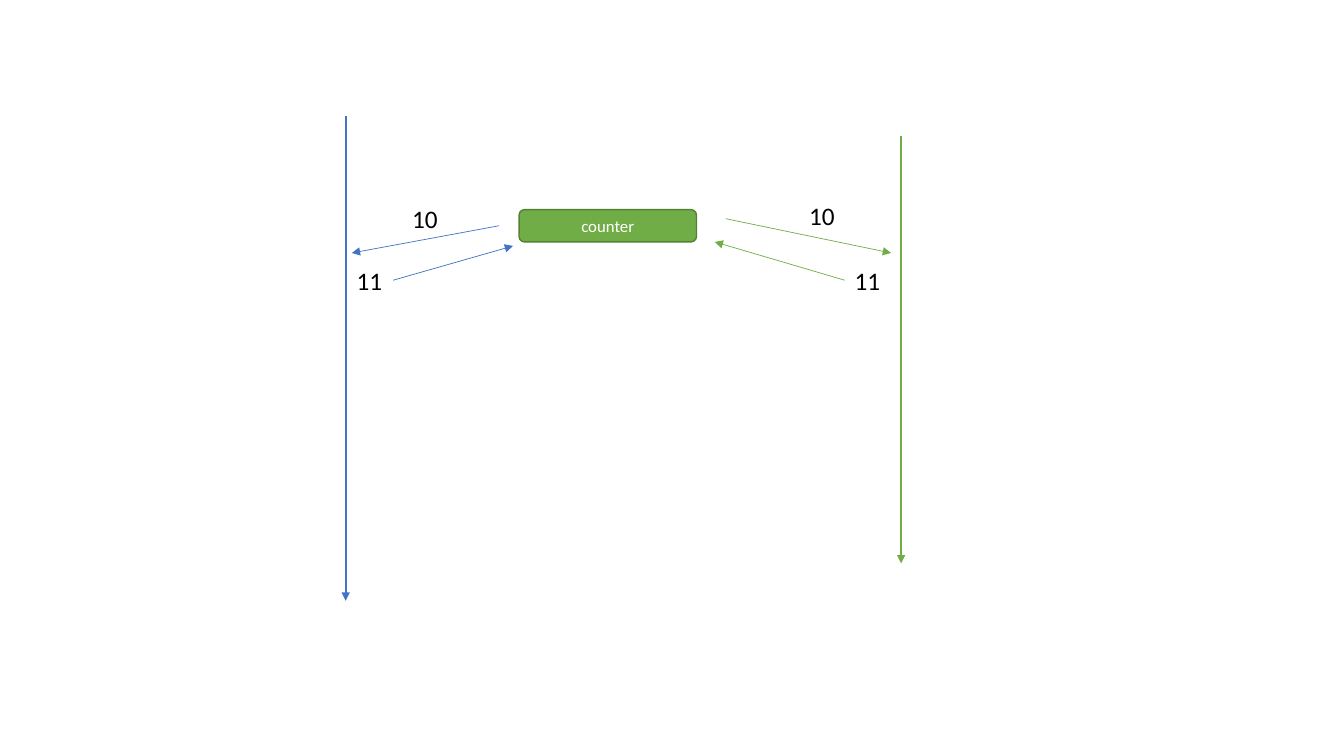
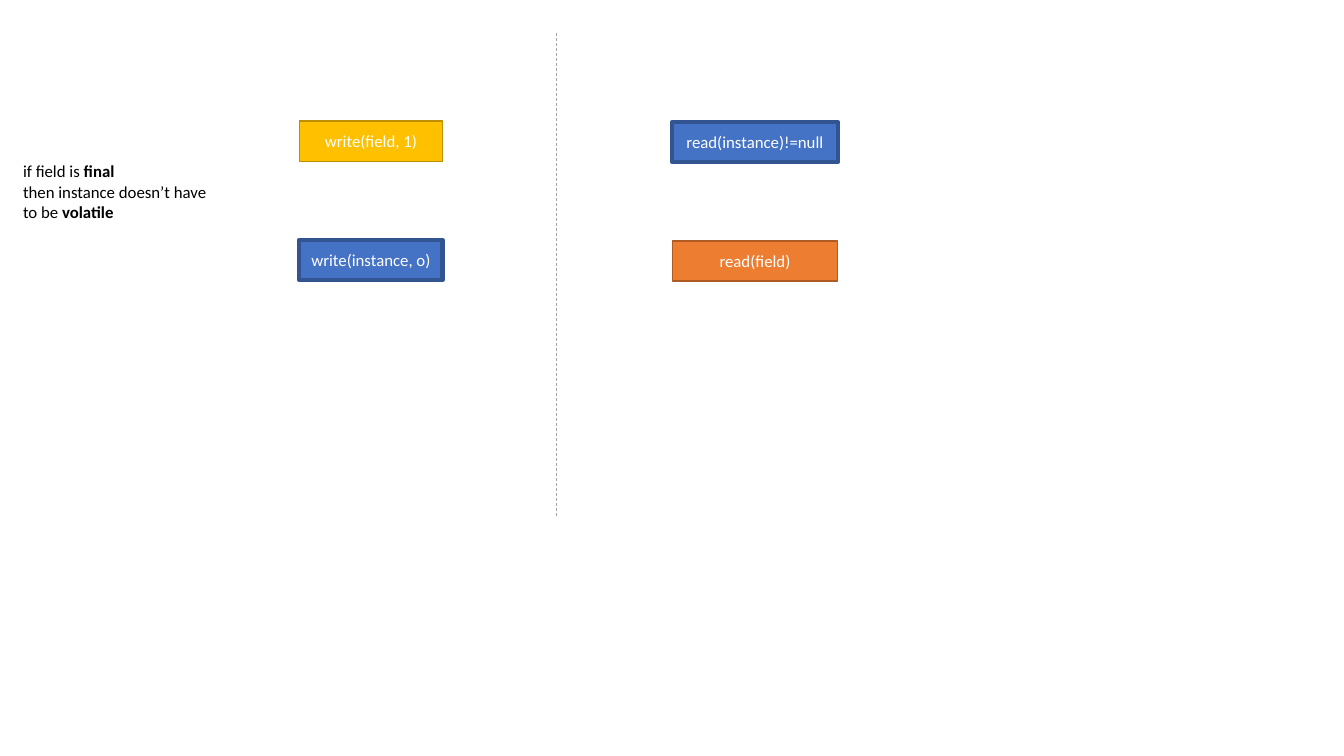
from lxml import etree
from pptx import Presentation
from pptx.dml.color import RGBColor
from pptx.enum.dml import MSO_LINE
from pptx.enum.shapes import MSO_CONNECTOR, MSO_SHAPE
from pptx.enum.text import MSO_ANCHOR, MSO_AUTO_SIZE, PP_ALIGN
from pptx.oxml.ns import qn
from pptx.util import Inches, Pt

CELL = Inches(0.1)
COLS, ROWS = 133.33, 75
FONT = "Calibri"
COLORS = {
    "blue": "4472C4", "blue_edge": "325491",
    "green": "70AD47", "green_edge": "538035",
    "gold": "FFC000", "gold_edge": "BD8E00",
    "orange": "ED7D31", "orange_edge": "AF5C24",
    "gray": "A5A5A5", "white": "FFFFFF", "black": "000000",
}


def grid(*cells):
    return [round(c * CELL) for c in cells]


def rgb(name):
    return RGBColor.from_string(COLORS[name])


def set_font(p, size, color):
    p.font.name = FONT
    p.font.size = Pt(size)
    p.font.color.rgb = rgb(color)


def add_line(slide, start, end, color, width, arrow=True):
    cx = slide.shapes.add_connector(
        MSO_CONNECTOR.STRAIGHT, *grid(*start, *end))
    cx.line.color.rgb = rgb(color)
    cx.line.width = Pt(width)
    if arrow:
        ln = cx.line._get_or_add_ln()
        etree.SubElement(ln, qn("a:tailEnd"), type="triangle")
    etree.SubElement(cx._element.spPr, qn("a:effectLst"))
    return cx


def add_box(slide, area, text, color, edge=1, kind=MSO_SHAPE.RECTANGLE):
    sp = slide.shapes.add_shape(kind, *grid(*area))
    sp.shadow.inherit = False
    sp.fill.solid()
    sp.fill.fore_color.rgb = rgb(color)
    sp.line.color.rgb = rgb(color + "_edge")
    sp.line.width = Pt(edge)
    tf = sp.text_frame
    tf.vertical_anchor = MSO_ANCHOR.MIDDLE
    p = tf.paragraphs[0]
    p.text = text
    p.alignment = PP_ALIGN.CENTER
    set_font(p, 12, "white")


def add_text(slide, area, paragraphs, size, wrap=True):
    tf = slide.shapes.add_textbox(*grid(*area)).text_frame
    tf.word_wrap = wrap
    tf.auto_size = MSO_AUTO_SIZE.SHAPE_TO_FIT_TEXT
    for i, runs in enumerate(paragraphs):
        p = tf.add_paragraph() if i else tf.paragraphs[0]
        set_font(p, size, "black")
        for text, bold in runs:
            r = p.add_run()
            r.text = text
            if bold:
                r.font.bold = True


def add_value(slide, left, top, text):
    add_text(slide, (left, top, 4.6, 4), [[(text, False)]], 18, wrap=False)


def build_counter(slide):
    add_line(slide, (34.3, 11.5), (34.3, 59.6), "blue", 1.5)
    add_line(slide, (89.4, 13.5), (89.4, 55.9), "green", 1.5)
    add_box(slide, (51.5, 20.8, 17.6, 3.2), "counter", "green",
            kind=MSO_SHAPE.ROUNDED_RECTANGLE)
    for start, end, color in [
        ((49.5, 22.4), (34.9, 25.1), "blue"),
        ((72, 21.7), (88.4, 25.1), "green"),
        ((83.8, 27.8), (70.9, 24), "green"),
        ((39, 27.8), (50.9, 24.4), "blue"),
    ]:
        add_line(slide, start, end, color, 0.5)
    for left, top, text in [
        (39.9, 19.7, "10"), (79.3, 19.4, "10"),
        (34.4, 25.8, "11"), (83.8, 25.8, "11"),
    ]:
        add_value(slide, left, top, text)


def build_final_field(slide):
    writer, reader = (29.7, 14.2), (66.7, 16.4)
    for (left, width), top, text, color, edge in [
        (reader, 23.9, "read(field)", "orange", 1),
        (writer, 23.8, "write(instance, o)", "blue", 3),
        (writer, 12, "write(field, 1)", "gold", 1),
        (reader, 12.1, "read(instance)!=null", "blue", 3),
    ]:
        add_box(slide, (left, top, width, 4), text, color, edge)
    divider = add_line(slide, (55.2, 3.3), (55.2, 51.3), "gray", 0.5,
                       arrow=False)
    divider.line.dash_style = MSO_LINE.DASH
    add_text(slide, (1.3, 15.5, 21.9, 7.1), [
        [("if field is ", False), ("final", True)],
        [("then instance doesn’t have to be ", False), ("volatile", True)],
    ], 12)


def main():
    prs = Presentation()
    prs.slide_width, prs.slide_height = grid(COLS, ROWS)
    for build in (build_counter, build_final_field):
        build(prs.slides.add_slide(prs.slide_layouts[6]))
    prs.save("out.pptx")


main()
